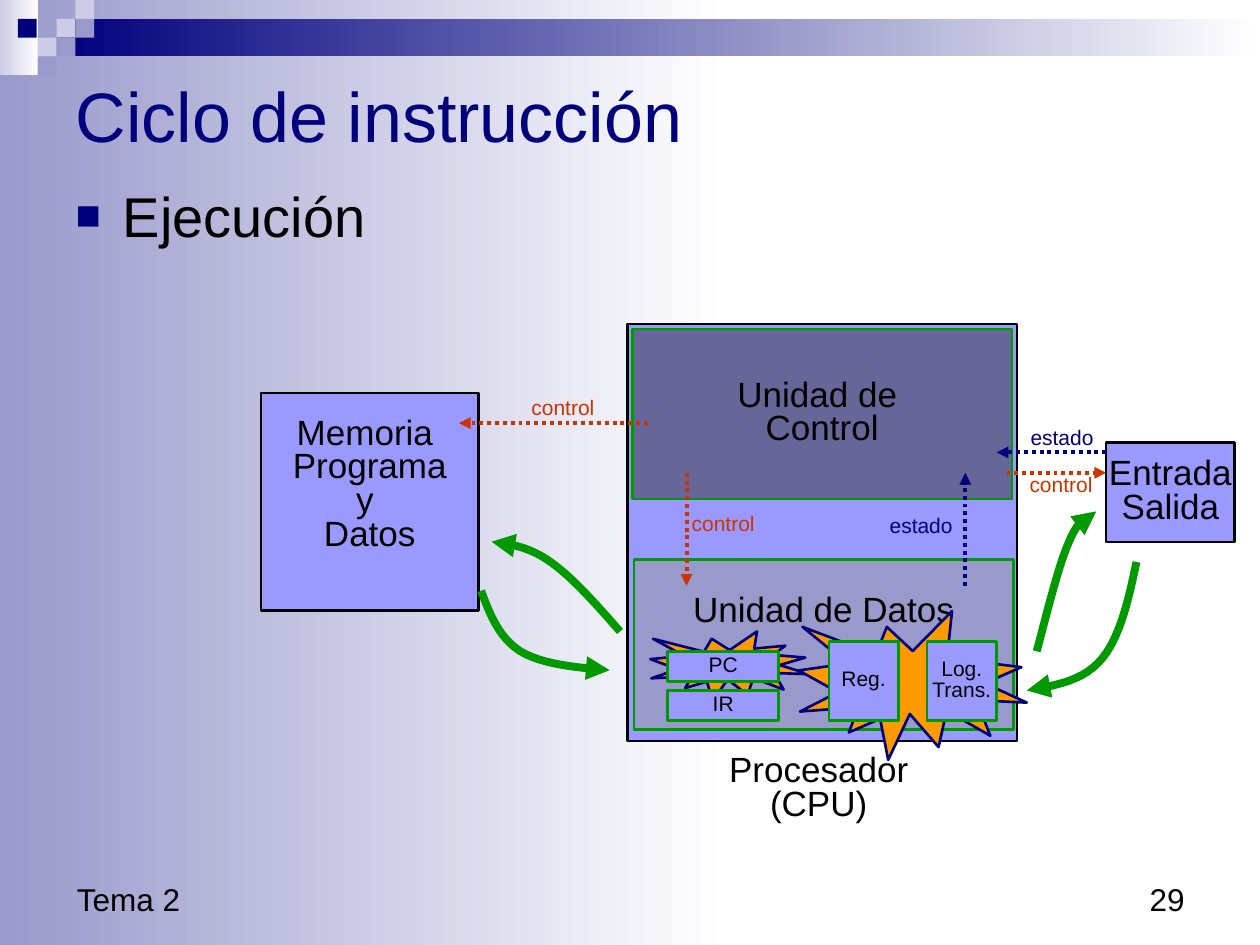
from lxml.etree import SubElement
from pptx import Presentation
from pptx.dml.color import RGBColor
from pptx.enum.dml import MSO_LINE
from pptx.enum.shapes import MSO_CONNECTOR, MSO_SHAPE
from pptx.enum.text import MSO_ANCHOR, MSO_AUTO_SIZE, PP_ALIGN
from pptx.oxml.ns import qn
from pptx.util import Cm, Pt

BLACK = RGBColor(0x00, 0x00, 0x00)
WHITE = RGBColor(0xFF, 0xFF, 0xFF)
NAVY = RGBColor(0x00, 0x00, 0x7D)
LAVENDER = RGBColor(0x99, 0x99, 0xCC)
PALE = RGBColor(0xCC, 0xCC, 0xE6)
BLUE = RGBColor(0x99, 0x99, 0xFF)
SLATE = RGBColor(0x66, 0x66, 0x99)
GREEN = RGBColor(0x00, 0x99, 0x00)
ORANGE = RGBColor(0xFF, 0x99, 0x00)
RED = RGBColor(0xCC, 0x33, 0x00)


def write(shape, text, size, color=BLACK, align=PP_ALIGN.CENTER, spacing=0.8):
    tf = shape.text_frame
    tf.text = text
    for p in tf.paragraphs:
        p.alignment = align
        p.line_spacing = spacing
        for r in p.runs:
            r.font.name = "Arial"
            r.font.size = Pt(size)
            r.font.color.rgb = color
    return tf


def style_arrow(line, color, width):
    line.line.color.rgb = color
    line.line.width = Pt(width)
    ln = line.element.spPr.find(qn("a:ln"))
    SubElement(ln, qn("a:tailEnd"), type="triangle")


prs = Presentation()
prs.slide_width, prs.slide_height = Cm(25.4), Cm(19.05)
s = prs.slides.add_slide(prs.slide_layouts[1])

# Background bands and corner squares
bands = [
    (0, 0, 14.71, 19.05, LAVENDER),
    (0, 0, 0.76, 1.52, PALE),
    (1.14, 0.38, 24.26, 0.76, NAVY),
]
for x, y, w, h, color in bands:
    sp = s.shapes.add_shape(MSO_SHAPE.RECTANGLE, Cm(x), Cm(y), Cm(w), Cm(h))
    sp.shadow.inherit = False
    sp.line.fill.background()
    sp.fill.gradient()
    sp.fill.gradient_angle = 0
    for stop, stop_color, position in zip(sp.fill.gradient_stops, (color, WHITE), (0, 1)):
        stop.color.rgb = stop_color
        stop.position = position

squares = [
    (1.14, 0.38, PALE), (1.52, 0, PALE), (1.52, 0.38, LAVENDER), (0.76, 0.76, PALE),
    (0.36, 0.38, NAVY), (1.14, 0.76, LAVENDER), (0.76, 1.14, LAVENDER),
]
for x, y, color in squares:
    sp = s.shapes.add_shape(MSO_SHAPE.RECTANGLE, Cm(x), Cm(y), Cm(0.38), Cm(0.38))
    sp.shadow.inherit = False
    sp.line.fill.background()
    sp.fill.solid()
    sp.fill.fore_color.rgb = color

# Title and list, brought in front of the background
title, body = s.shapes.title, s.placeholders[1]
placeholders = [
    (title, "Ciclo de instrucción", 1.27, 2.06, 40, NAVY, MSO_ANCHOR.MIDDLE),
    (body, "Ejecución", 3.53, 1.8, 32, BLACK, MSO_ANCHOR.TOP),
]
for sp, text, y, h, size, color, anchor in placeholders:
    sp.element.getparent().append(sp.element)
    sp.left, sp.top, sp.width, sp.height = Cm(1.27), Cm(y), Cm(22.86), Cm(h)
    tf = write(sp, text, size, color, PP_ALIGN.LEFT, 1)
    tf.auto_size = MSO_AUTO_SIZE.NONE
    tf.vertical_anchor = anchor

pPr = body.text_frame.paragraphs[0]._p.get_or_add_pPr()
pPr.set("marL", str(Cm(0.95)))
pPr.set("indent", str(Cm(-0.95)))
SubElement(SubElement(pPr, qn("a:buClr")), qn("a:srgbClr"), val=str(NAVY))
SubElement(pPr, qn("a:buSzPct"), val="75000")
SubElement(pPr, qn("a:buFont"), typeface="Arial")
SubElement(pPr, qn("a:buChar"), char="■")

# Footer
for text, x, w, align in [("Tema 2", 1.3, 8.05, PP_ALIGN.LEFT), ("29", 18.21, 5.92, PP_ALIGN.RIGHT)]:
    tb = s.shapes.add_textbox(Cm(x), Cm(17.35), Cm(w), Cm(1.27))
    tf = write(tb, text, 18, align=align, spacing=1)
    tf.word_wrap = True
    tf.vertical_anchor = MSO_ANCHOR.BOTTOM

# Blocks: kind, left, top, width, height, fill, line, text, size, bottom inset
RECT, BURST = MSO_SHAPE.RECTANGLE, MSO_SHAPE.EXPLOSION1
blocks = [
    (RECT, 5.26, 7.92, 4.39, 4.39, BLUE, BLACK, "Memoria \nPrograma\ny \nDatos", 20, 0.78),
    (RECT, 12.65, 6.53, 7.85, 8.41, BLUE, BLACK, "", 20, 0.13),
    (RECT, 12.75, 6.63, 7.65, 3.43, SLATE, GREEN, "Unidad de \nControl", 20, 0.13),
    (RECT, 12.78, 11.28, 7.65, 3.43, LAVENDER, GREEN, "Unidad de Datos", 20, 1.43),
    (BURST, 13.11, 12.73, 3.2, 1.4, ORANGE, NAVY, "", 12, 0.13),
    (BURST, 16.1, 12.32, 4.6, 3, ORANGE, NAVY, "", 12, 0.13),
    (RECT, 13.46, 13.13, 2.24, 0.61, BLUE, GREEN, "PC", 12, 0.13),
    (RECT, 13.46, 13.92, 2.24, 0.61, BLUE, GREEN, "IR", 12, 0.13),
    (RECT, 16.71, 12.93, 1.4, 1.6, BLUE, GREEN, "Reg.", 12, 0.13),
    (RECT, 18.69, 12.93, 1.4, 1.6, BLUE, GREEN, "Log.\nTrans.", 12, 0.13),
    (RECT, 22.3, 8.92, 2.59, 2.01, BLUE, BLACK, "Entrada\nSalida", 20, 0.13),
]
for kind, x, y, w, h, fill, line, text, size, inset in blocks:
    sp = s.shapes.add_shape(kind, Cm(x), Cm(y), Cm(w), Cm(h))
    sp.shadow.inherit = False
    sp.fill.solid()
    sp.fill.fore_color.rgb = fill
    sp.line.color.rgb = line
    sp.line.width = Pt(1.5)
    if text:
        tf = write(sp, text, size)
        tf.word_wrap = False
        tf.vertical_anchor = MSO_ANCHOR.MIDDLE
        tf.margin_bottom = Cm(inset)

# Dotted control and status signals
signals = [
    (13.84, 9.53, 13.84, 11.81, RED),
    (19.46, 11.81, 19.46, 9.53, NAVY),
    (13.06, 8.53, 9.25, 8.53, RED),
    (22.3, 9.12, 20.09, 9.12, NAVY),
    (20.29, 9.53, 22.3, 9.53, RED),
]
for x1, y1, x2, y2, color in signals:
    cx = s.shapes.add_connector(MSO_CONNECTOR.STRAIGHT, Cm(x1), Cm(y1), Cm(x2), Cm(y2))
    cx.line.dash_style = MSO_LINE.ROUND_DOT
    style_arrow(cx, color, 2.25)
    SubElement(cx.element.spPr, qn("a:effectLst"))

labels = [
    ("Procesador\n(CPU)", 14.25, 15.11, 4.51, 1.63, 20, BLACK),
    ("estado", 17.68, 10.31, 1.78, 0.66, 12, NAVY),
    ("control", 13.69, 10.26, 1.78, 0.66, 12, RED),
    ("control", 10.46, 7.92, 1.78, 0.66, 12, RED),
    ("control", 20.5, 9.47, 1.78, 0.66, 12, RED),
    ("estado", 20.52, 8.53, 1.78, 0.66, 12, NAVY),
]
for text, x, y, w, h, size, color in labels:
    tb = s.shapes.add_textbox(Cm(x), Cm(y), Cm(w), Cm(h))
    tf = write(tb, text, size, color)
    tf.word_wrap = False
    tf.auto_size = MSO_AUTO_SIZE.SHAPE_TO_FIT_TEXT

# Curved data flows, each given as the control points of two joined Bézier arcs
flows = [
    [(12.5, 12.73), (12.01, 12.17), (11.53, 11.63), (11.1, 11.33),
     (10.67, 11.02), (10.29, 10.97), (9.91, 10.92)],
    [(9.7, 11.91), (9.88, 12.4), (10.06, 12.85), (10.49, 13.13),
     (10.92, 13.39), (11.61, 13.46), (12.29, 13.51)],
    [(20.9, 13.13), (21.13, 12.27), (21.34, 11.4), (21.54, 10.95),
     (21.74, 10.46), (21.92, 10.39), (22.1, 10.31)],
    [(22.91, 11.33), (22.76, 12.07), (22.58, 12.83), (22.23, 13.26),
     (21.87, 13.72), (21.29, 13.82), (20.7, 13.92)],
]
STEPS = 12
for flow in flows:
    points = []
    for arc in (flow[:4], flow[3:]):
        for i in range(1, STEPS + 1):
            t = i / STEPS
            weights = ((1 - t) ** 3, 3 * t * (1 - t) ** 2, 3 * t ** 2 * (1 - t), t ** 3)
            x = sum(k * pt[0] for k, pt in zip(weights, arc))
            y = sum(k * pt[1] for k, pt in zip(weights, arc))
            points.append((Cm(x), Cm(y)))
    fb = s.shapes.build_freeform(Cm(flow[0][0]), Cm(flow[0][1]))
    fb.add_line_segments(points, close=False)
    sp = fb.convert_to_shape()
    sp.shadow.inherit = False
    sp.fill.background()
    style_arrow(sp, GREEN, 4.5)

prs.save("out.pptx")
